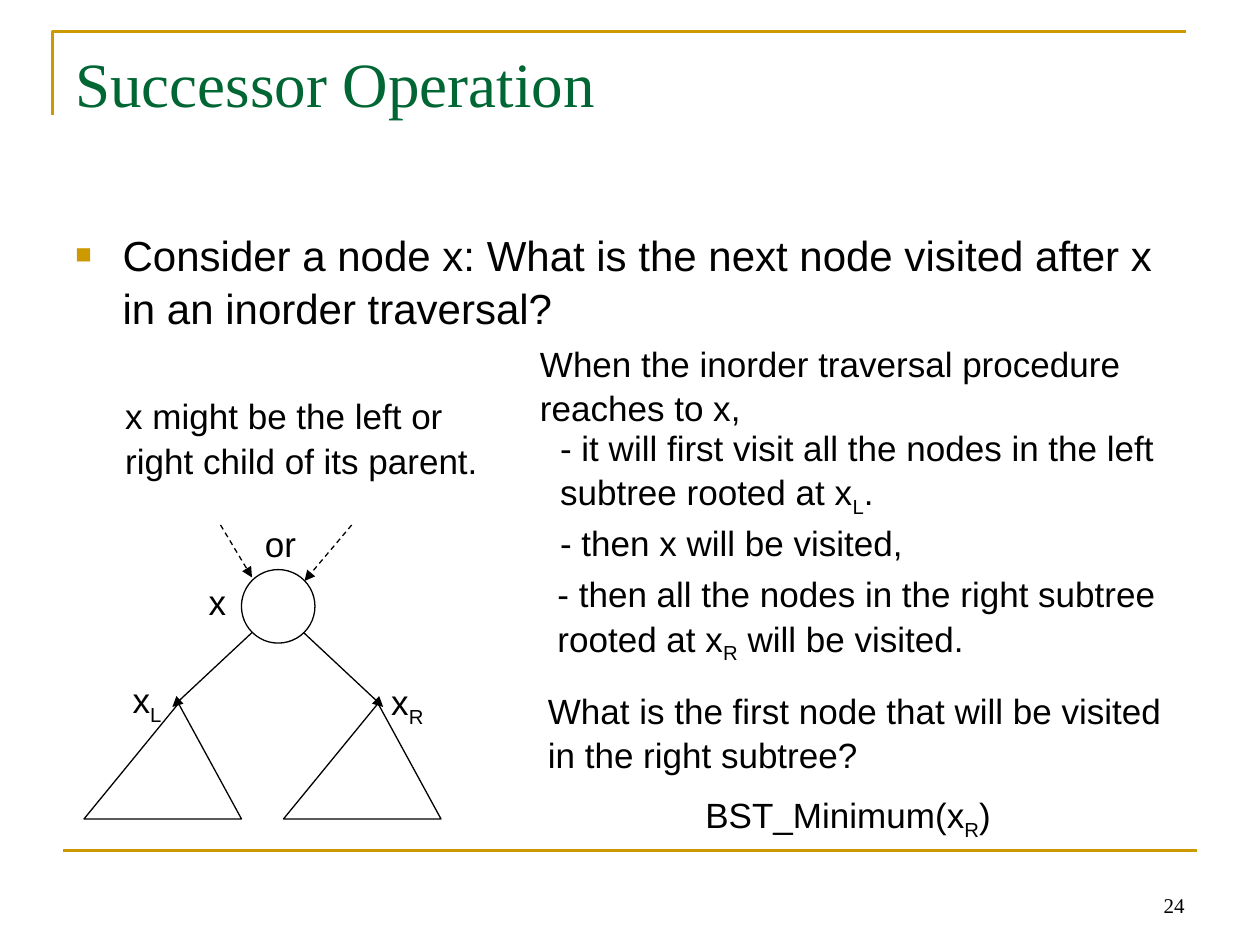
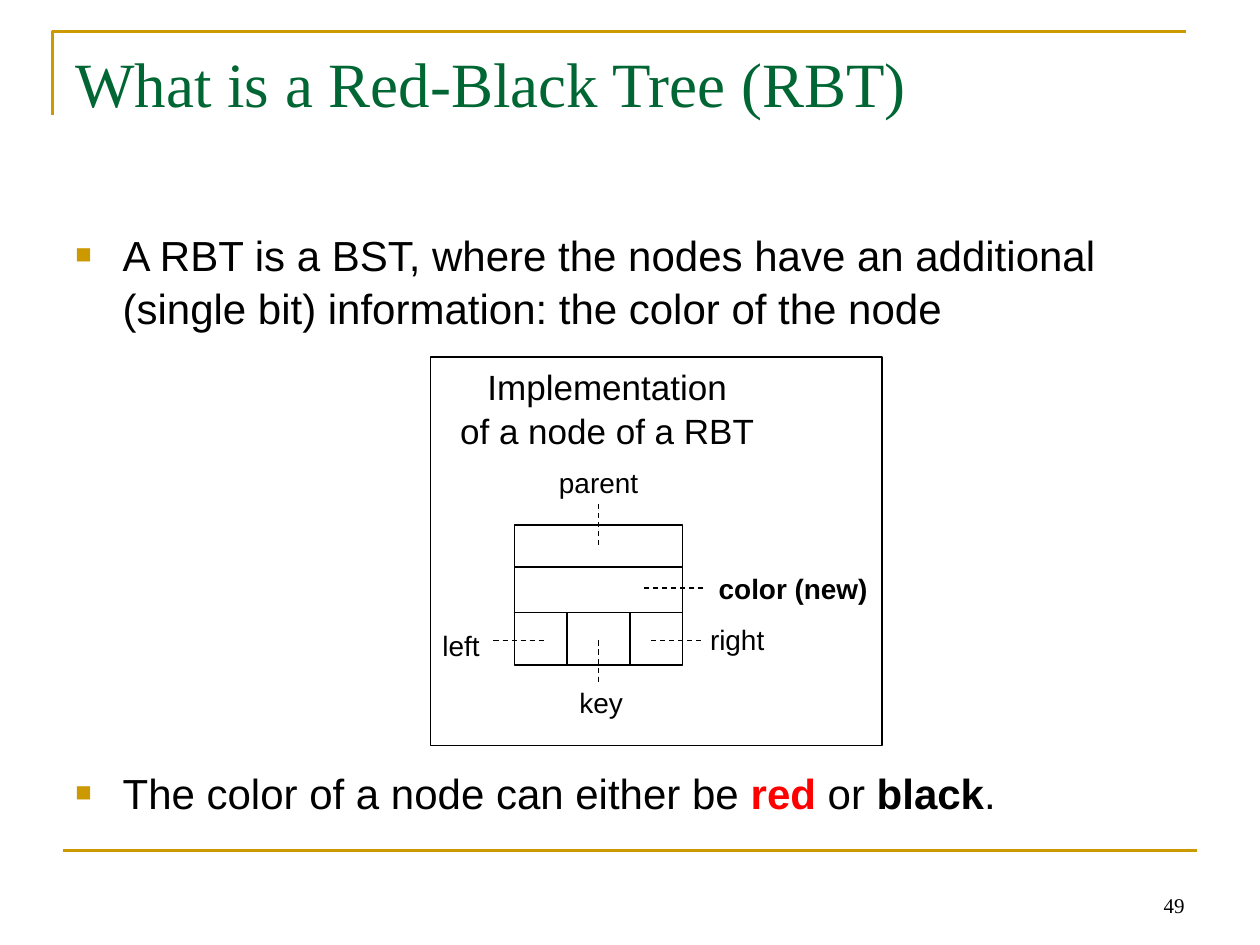
"""Two slides on binary search trees: the successor operation and red-black nodes."""
from lxml import etree
from pptx import Presentation
from pptx import util as u
from pptx.dml.color import RGBColor
from pptx.enum import dml, shapes, text
from pptx.oxml.ns import qn

GOLD = RGBColor(0xCC, 0x99, 0x00)
GREEN = RGBColor(0x00, 0x66, 0x33)
BLACK = RGBColor(0x00, 0x00, 0x00)
RED = RGBColor(0xFF, 0x00, 0x00)
SANS, SERIF = "Arial", "Times New Roman"
LEFT, CENTER, RIGHT = text.PP_ALIGN.LEFT, text.PP_ALIGN.CENTER, text.PP_ALIGN.RIGHT
LEADING = 1.05

SUCCESSOR = {
    "title": "Successor Operation",
    "number": "24",
    "bullets": [(126, ["Consider a node x: What is the next node visited after x "
                       "in an inorder traversal?"])],
    "notes": [
        ((301.5, 191, 376.5, 55), [["When the inorder traversal procedure"],
                                   ["reaches to x,"]]),
        ((313, 239, 376.5, 59), [["- it will first visit all the nodes in the left "
                                  "subtree rooted at x", ("L", "sub"), "."]]),
        ((313, 293, 376.5, 32), [["- then x will be visited,"]]),
        ((311.5, 322.5, 376.5, 59), [["- then all the nodes in the right subtree "
                                      "rooted at x", ("R", "sub"), " will be visited."]]),
        ((306, 389, 376.5, 55), [["What is the first node that will be visited "
                                  "in the right subtree?"]]),
        ((396, 448.5, 191, 35), [["BST_Minimum(x", ("R", "sub"), ")"]]),
        ((64.5, 221, 230, 55), [["x might be the left or"],
                                ["right child of its parent."]]),
    ],
    "labels": [
        ((112, 327, 24.5, 32), 20, [["x"]]),
        ((144, 294, 32.5, 32), 20, [["or"]]),
        ((68.5, 383, 31, 35), 20, [["x", ("L", "sub")]]),
        ((216.5, 384, 32.5, 35), 20, [["x", ("R", "sub")]]),
    ],
}
NODE_X = (138, 325.5, 42, 42)
CHILD_ARROWS = [(144, 361.5, 98.5, 404), (173.5, 361.5, 219, 404)]
PARENT_ARROWS = [(126, 300, 144, 330), (201, 300, 174, 332)]
SUBTREE = [(102, 402), (48, 468), (138, 468)]
SUBTREE_STEP = 114

RED_BLACK = {
    "title": "What is a Red-Black Tree (RBT)",
    "number": "49",
    "bullets": [
        (126, ["A RBT is a BST, where the nodes have an additional "
               "(single bit) information: the color of the node"]),
        (433.5, ["The color of a node can either be ", ("red", "red"), " or ",
                 ("black", "bold"), "."]),
    ],
    "notes": [],
    "labels": [
        ((256, 204, 182, 55), 20, [["Implementation"], ["of a node of a RBT"]]),
        ((312, 261.5, 60, 26.5), 16, [["parent"]]),
        ((324, 387.5, 39, 26.5), 16, [["key"]]),
        ((246, 354.5, 35, 26.5), 16, [["left"]]),
        ((398.5, 351.5, 45.5, 26.5), 16, [["right"]]),
        ((403.5, 322, 99.5, 26.5), 16, [[("color (new)", "bold")]]),
    ],
}
FRAME = (246, 204, 258, 222)
RECORD = (294, 300, 96, 80)
ROW_YS = (324, 350)
COLUMN_XS = (324, 360)
LEADERS = [(342, 288, 342, 312), (402, 336, 366, 336), (282, 366, 312, 366),
           (372, 366, 402, 366), (342, 366, 342, 390)]


def pts(values):
    """Turn plain numbers into point lengths."""
    return [u.Pt(v) for v in values]


def add_bullet(p):
    """Give a paragraph the small gold square and its hanging indent."""
    pPr = p._p.get_or_add_pPr()
    pPr.set("marL", str(u.Pt(27)))
    pPr.set("indent", str(-u.Pt(27)))
    color = etree.SubElement(pPr, qn("a:buClr"))
    etree.SubElement(color, qn("a:srgbClr"), val=str(GOLD))
    etree.SubElement(pPr, qn("a:buSzPct"), val="65000")
    etree.SubElement(pPr, qn("a:buFont"), typeface=SANS)
    etree.SubElement(pPr, qn("a:buChar"), char="■")


def add_text(s, box, paragraphs, size, font=SANS, color=BLACK, align=LEFT,
             anchor=text.MSO_ANCHOR.TOP, bullet=False):
    """Add a text box of paragraphs, each a list of runs."""
    tf = s.shapes.add_textbox(*pts(box)).text_frame
    tf.word_wrap = align != CENTER
    tf.vertical_anchor = anchor
    if align == CENTER:
        tf.margin_left = tf.margin_right = u.Pt(0)
    for i, runs in enumerate(paragraphs):
        p = tf.paragraphs[0] if i == 0 else tf.add_paragraph()
        p.alignment = align
        if bullet:
            add_bullet(p)
        if font == SANS:
            p.line_spacing = LEADING
        for run in runs:
            words, style = (run, "") if isinstance(run, str) else run
            r = p.add_run()
            r.text = words
            r.font.name, r.font.size = font, u.Pt(size)
            r.font.bold = style in ("bold", "red")
            r.font.color.rgb = RED if style == "red" else color
            if style == "sub":
                r._r.get_or_add_rPr().set("baseline", "-25000")


def outline(sp, color=BLACK, width=0.75):
    """Leave a shape unfilled with a plain line."""
    sp.shadow.inherit = False
    sp.fill.background()
    sp.line.color.rgb = color
    sp.line.width = u.Pt(width)


def add_preset(s, kind, box):
    """Add an outlined preset shape."""
    outline(s.shapes.add_shape(kind, *pts(box)))


def add_outline(s, points, close, color=BLACK, width=0.75):
    """Add an outlined freeform through the points."""
    builder = s.shapes.build_freeform(*pts(points[0]), scale=1.0)
    builder.add_line_segments([pts(point) for point in points[1:]], close=close)
    outline(builder.convert_to_shape(), color, width)


def add_line(s, ends, color=BLACK, width=0.75, dashed=False, arrow=False):
    """Add a straight connector."""
    c = s.shapes.add_connector(shapes.MSO_CONNECTOR.STRAIGHT, *pts(ends))
    c.line.color.rgb = color
    c.line.width = u.Pt(width)
    if dashed:
        c.line.dash_style = dml.MSO_LINE.DASH
    if arrow:
        etree.SubElement(c.line._get_or_add_ln(), qn("a:tailEnd"), type="triangle")
    etree.SubElement(c._element.spPr, qn("a:effectLst"))


def add_slide(prs, content):
    """Add a slide with the shared rules, title, number and its texts."""
    s = prs.slides.add_slide(prs.slide_layouts[6])
    add_outline(s, [(30, 66), (30, 18), (678, 18)], False, GOLD, 1.5)
    add_line(s, (36, 486, 684, 486), GOLD, 1.5)
    add_text(s, (516, 492, 168, 36), [[content["number"]]], 12, SERIF,
             align=RIGHT, anchor=text.MSO_ANCHOR.BOTTOM)
    add_text(s, (36, 22, 648, 90), [[content["title"]]], 36, SERIF, GREEN)
    for top, runs in content["bullets"]:
        add_text(s, (36, top, 648, 40), [runs], 24, bullet=True)
    for box, paragraphs in content["notes"]:
        add_text(s, box, paragraphs, 20)
    for box, size, paragraphs in content["labels"]:
        add_text(s, box, paragraphs, size, align=CENTER)
    return s


def draw_successor_tree(s):
    """Draw node x with its possible parents and two subtrees."""
    add_preset(s, shapes.MSO_SHAPE.OVAL, NODE_X)
    for ends in CHILD_ARROWS:
        add_line(s, ends, arrow=True)
    for ends in PARENT_ARROWS:
        add_line(s, ends, dashed=True, arrow=True)
    for side in range(2):
        add_outline(s, [(x + side * SUBTREE_STEP, y) for x, y in SUBTREE], True)


def draw_node_record(s):
    """Draw the fields of a red-black tree node."""
    left, top, width, height = RECORD
    for box in (RECORD, FRAME):
        add_preset(s, shapes.MSO_SHAPE.RECTANGLE, box)
    for y in ROW_YS:
        add_line(s, (left, y, left + width, y))
    for x in COLUMN_XS:
        add_line(s, (x, ROW_YS[-1], x, top + height))
    for ends in LEADERS:
        add_line(s, ends, dashed=True)


def main():
    """Build and save the deck."""
    prs = Presentation()
    prs.slide_width, prs.slide_height = pts((720, 540))
    draw_successor_tree(add_slide(prs, SUCCESSOR))
    draw_node_record(add_slide(prs, RED_BLACK))
    prs.save("out.pptx")


if __name__ == "__main__":
    main()
